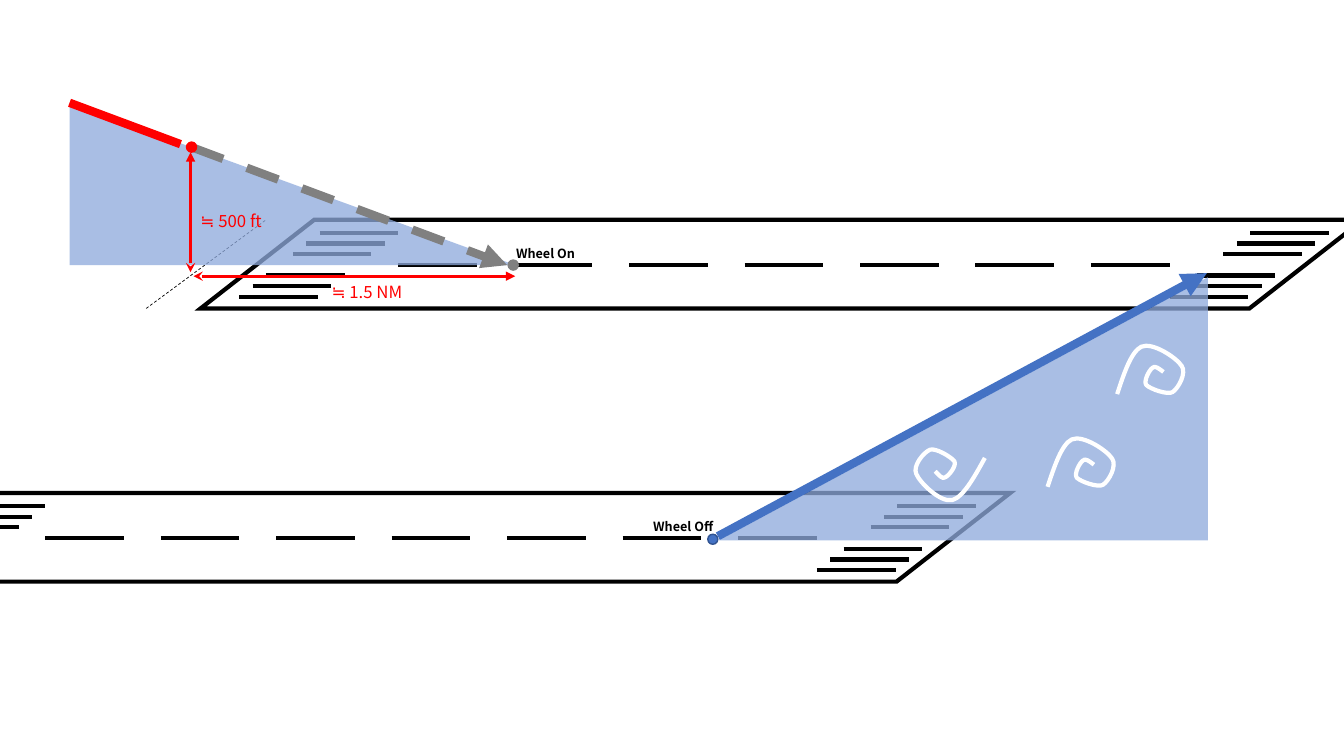
from dataclasses import dataclass

from lxml.etree import SubElement
from pptx import Presentation
from pptx.dml.color import RGBColor
from pptx.enum.dml import MSO_LINE
from pptx.enum.shapes import MSO_CONNECTOR, MSO_SHAPE
from pptx.enum.text import MSO_AUTO_SIZE
from pptx.oxml.ns import qn
from pptx.util import Inches, Pt


@dataclass(frozen=True)
class Theme:
    font: str = "Noto Sans CJK KR"
    black: str = "000000"
    white: str = "FFFFFF"
    red: str = "FF0000"
    gray: str = "808080"
    blue: str = "4472C4"
    dark_blue: str = "325491"
    light_blue: str = "8FAADC"
    label_size: float = 9
    distance_size: float = 12
    hairline: float = 0.5
    outline: float = 1
    measure: float = 2.25
    marking: float = 3
    flight: float = 6


THEME = Theme()
MARK_LENGTH = 0.78
CURL_START = (0, 0.48)
CURL_CURVES = [
    ((0.07, 0.27), (0.14, 0.06), (0.24, 0.01)),
    ((0.35, -0.04), (0.59, 0.12), (0.64, 0.2)),
    ((0.69, 0.27), (0.61, 0.42), (0.55, 0.46)),
    ((0.5, 0.49), (0.33, 0.43), (0.29, 0.39)),
    ((0.26, 0.35), (0.32, 0.24), (0.35, 0.22)),
    ((0.37, 0.19), (0.42, 0.23), (0.46, 0.26)),
]


def style_line(line, color, width):
    line.color.rgb = RGBColor.from_string(color)
    line.width = Pt(width)


def add_line(parent, start, end, color, width, dashed=False, head=None, tail=None):
    connector = parent.shapes.add_connector(
        MSO_CONNECTOR.STRAIGHT, *(Inches(value) for value in (*start, *end))
    )
    style_line(connector.line, color, width)
    if dashed:
        connector.line.dash_style = MSO_LINE.DASH
    properties = connector.line._get_or_add_ln()
    for tag, arrow in (("a:headEnd", head), ("a:tailEnd", tail)):
        if arrow:
            SubElement(properties, qn(tag)).set("type", arrow)
    SubElement(connector._element.spPr, qn("a:effectLst"))


def add_preset(slide, preset, left, top, width, height, adjustment=None):
    shape = slide.shapes.add_shape(
        preset, Inches(left), Inches(top), Inches(width), Inches(height)
    )
    shape.shadow.inherit = False
    if adjustment is not None:
        shape.adjustments[0] = adjustment
    return shape


def add_mark(slide, left, top):
    add_line(slide, (left, top), (left + MARK_LENGTH, top), THEME.black, THEME.marking)


def add_runway(slide, left, top):
    runway = add_preset(slide, MSO_SHAPE.PARALLELOGRAM, left, top, 11.53, 0.88, 1.281)
    runway.fill.background()
    style_line(runway.line, THEME.black, THEME.marking)
    SubElement(runway.line._get_or_add_ln(), qn("a:miter")).set("lim", "800000")
    for threshold in (1.18, 10.41):
        for row in (0, 1, 2, 4, 5, 6):
            mark_left = left + threshold - 0.133 * row
            if mark_left + MARK_LENGTH > 0:
                add_mark(slide, mark_left, top + 0.13 + 0.106 * row)
    for dash in range(7):
        add_mark(slide, left + 1.96 + 1.145 * dash, top + 0.45)


def add_airspace(slide, left, top, width, height, apex):
    triangle = add_preset(
        slide, MSO_SHAPE.ISOSCELES_TRIANGLE, left, top, width, height, apex
    )
    triangle.fill.solid()
    triangle.fill.fore_color.rgb = RGBColor.from_string(THEME.light_blue)
    color = triangle._element.spPr.find(qn("a:solidFill"))[0]
    SubElement(color, qn("a:alpha")).set("val", "76000")
    triangle.line.fill.background()


def add_point(slide, left, top, fill, outline):
    point = add_preset(slide, MSO_SHAPE.OVAL, left, top, 0.1, 0.1)
    point.fill.solid()
    point.fill.fore_color.rgb = RGBColor.from_string(fill)
    style_line(point.line, outline, THEME.outline)


def add_label(slide, text, left, top, width, height, size, color, bold=False):
    box = slide.shapes.add_textbox(
        Inches(left), Inches(top), Inches(width), Inches(height)
    )
    frame = box.text_frame
    frame.word_wrap = False
    frame.auto_size = MSO_AUTO_SIZE.SHAPE_TO_FIT_TEXT
    frame.text = text
    span = frame.paragraphs[0].runs[0]
    span.font.size = Pt(size)
    span.font.bold = bold
    span.font.color.rgb = RGBColor.from_string(color)
    span.font.name = THEME.font
    SubElement(span.font._element, qn("a:ea")).set("typeface", THEME.font)


def add_curl(slide, left, top, rotation=0):
    anchors = [CURL_START] + [curve[-1] for curve in CURL_CURVES]
    points = [(Inches(left + x), Inches(top + y)) for x, y in anchors]
    builder = slide.shapes.build_freeform(*points[0])
    builder.add_line_segments(points[1:], close=False)
    curl = builder.convert_to_shape()
    segments = list(curl._element.spPr.iter(qn("a:lnTo")))
    for segment, curve in zip(segments, CURL_CURVES):
        bezier = SubElement(segment.getparent(), qn("a:cubicBezTo"))
        for x, y in curve:
            point = SubElement(bezier, qn("a:pt"))
            point.set("x", str(Inches(left + x) - curl.left))
            point.set("y", str(Inches(top + y) - curl.top))
        segment.getparent().remove(segment)
    curl.shadow.inherit = False
    curl.fill.background()
    style_line(curl.line, THEME.white, THEME.marking)
    curl.rotation = rotation


def add_measure(slide, start, end):
    add_line(slide, start, end, THEME.red, THEME.measure, head="stealth", tail="triangle")


def main():
    deck = Presentation()
    deck.slide_width = Inches(13.33)
    deck.slide_height = Inches(7.5)
    slide = deck.slides.add_slide(deck.slide_layouts[6])

    add_line(slide, (1.45, 3.06), (2.64, 2.18), THEME.black, THEME.hairline, dashed=True)
    add_runway(slide, 1.99, 2.18)
    add_airspace(slide, 0.69, 1.02, 4.42, 1.61, 0)
    add_runway(slide, -1.51, 4.89)

    add_label(slide, "Wheel On", 5.02, 2.39, 0.8, 0.25, THEME.label_size, THEME.black, True)
    add_label(slide, "Wheel Off", 6.38, 5.1, 0.82, 0.25, THEME.label_size, THEME.black, True)
    add_label(slide, "≒ 1.5 NM", 3.19, 2.75, 0.94, 0.3, THEME.distance_size, THEME.red)

    add_point(slide, 7.02, 5.3, THEME.blue, THEME.dark_blue)
    add_point(slide, 5.04, 2.58, THEME.gray, THEME.gray)
    add_airspace(slide, 7.13, 2.75, 4.85, 2.61, 1)
    add_line(slide, (7.12, 5.32), (11.97, 2.71), THEME.blue, THEME.flight, tail="triangle")
    approach = slide.shapes.add_group_shape()
    add_line(approach, (0.69, 1.02), (1.79, 1.43), THEME.red, THEME.flight)
    add_line(approach, (1.9, 1.46), (5.03, 2.63), THEME.gray, THEME.flight, True, tail="triangle")

    add_curl(slide, 11.08, 3.43)
    add_curl(slide, 10.39, 4.35)
    add_curl(slide, 9.09, 4.47, 190.6)

    add_measure(slide, (1.92, 2.74), (5.11, 2.74))
    add_measure(slide, (1.89, 2.7), (1.89, 1.51))
    add_label(slide, "≒ 500 ft", 1.89, 2.04, 0.83, 0.3, THEME.distance_size, THEME.red)
    add_point(slide, 1.85, 1.41, THEME.red, THEME.red)

    deck.save("out.pptx")


if __name__ == "__main__":
    main()
